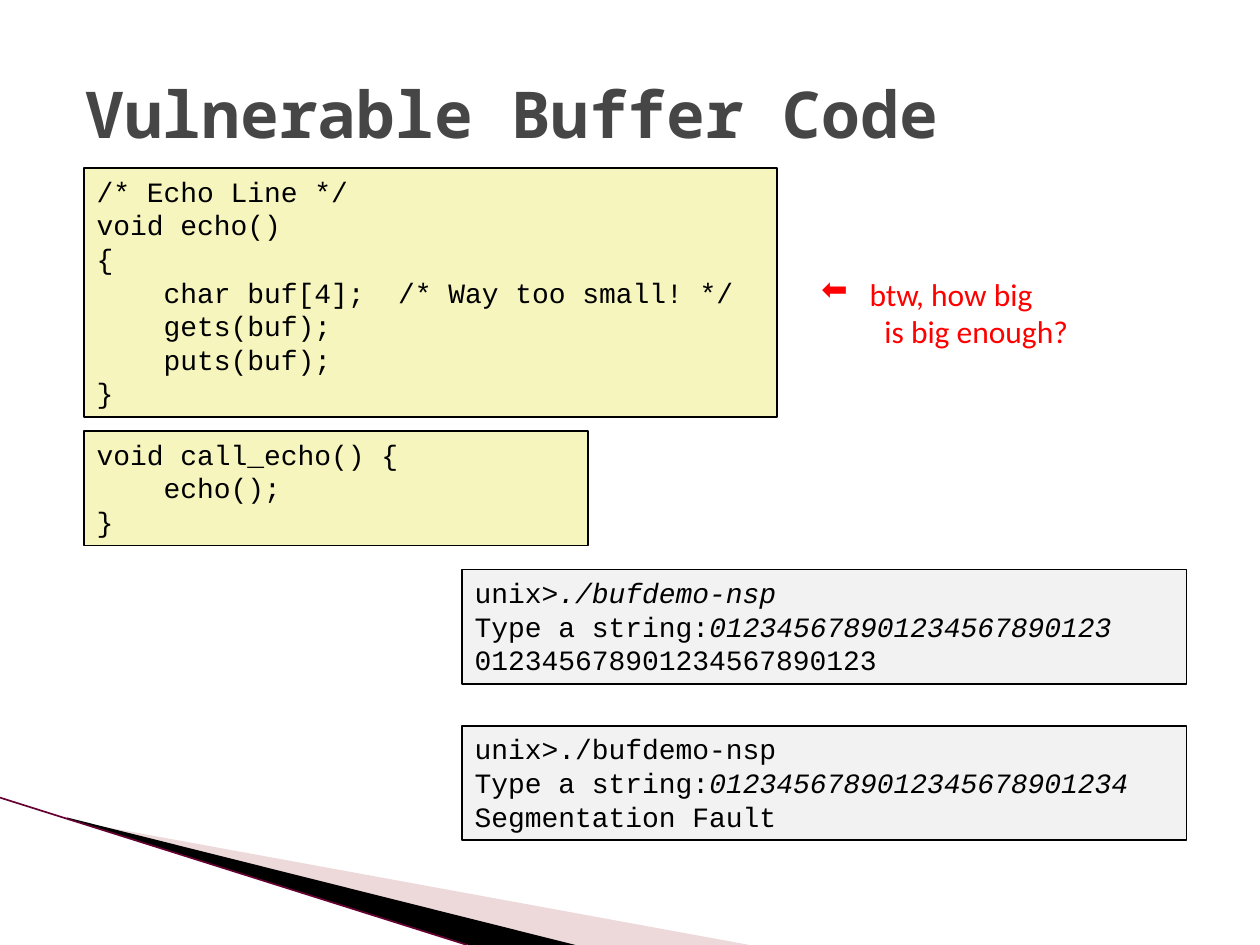
"""Build the slide on vulnerable buffer code."""
import pptx
import pptx.util
import pptx.dml.color
import pptx.enum.shapes
import pptx.enum.text
import pptx.oxml.ns
import lxml.etree

Cm, Pt = pptx.util.Cm, pptx.util.Pt
qn = pptx.oxml.ns.qn
ANCHOR = pptx.enum.text.MSO_ANCHOR

HUES = {"ink": "000000", "title": "464646", "code": "F6F5BD", "shell": "F2F2F2",
        "note": "FF0000", "pale": "D29EA4", "edge": "660033"}
FONTS = {
    "title": {"name": "Noto Sans Mono", "size": Pt(36.9), "bold": True},
    "code": {"name": "Courier New", "size": Pt(16)},
    "note": {"name": "Calibri", "size": Pt(18)},
}
WEDGES = [
    ("pale", 40, [(1.4, 16.54), (15.11, 19.05), (11.58, 19.05), (1.4, 16.51)]),
    ("ink", 100, [(1.35, 16.48), (11.6, 19.05), (9.45, 19.05), (1.37, 16.51)]),
]
EDGE = (0, 16.08, 9.42, 19.05)
TITLE = "Vulnerable Buffer Code"
NOTE = [("btw, how big", 0.97, -0.97), ("is big enough?", 1.27, 0)]
LEFT, RIGHT = 1.7, 9.32
LINE, PAD = 0.676, 0.28
BOXES = [
    ("code", LEFT, 3.39, 13.97, [
        ("/* Echo Line */",), ("void echo()",), ("{",),
        ("    char buf[4];  /* Way too small! */",),
        ("    gets(buf);",), ("    puts(buf);",), ("}",)]),
    ("code", LEFT, 8.69, 10.16, [
        ("void call_echo() {",), ("    echo();",), ("}",)]),
    ("shell", RIGHT, 11.48, 14.6, [
        ("unix>", "./bufdemo-nsp"),
        ("Type a string:", "012345678901234567890123"),
        ("012345678901234567890123",)]),
    ("shell", RIGHT, 14.63, 14.6, [
        ("unix>./bufdemo-nsp",),
        ("Type a string:", "0123456789012345678901234"),
        ("Segmentation Fault",)]),
]


def tint(hue):
    return pptx.dml.color.RGBColor.from_string(HUES[hue])


def paint(shape, hue):
    shape.shadow.inherit = False
    shape.fill.solid()
    shape.fill.fore_color.rgb = tint(hue)


def write(para, text, style, hue, **more):
    run = para.add_run()
    run.text = text
    run.font.color.rgb = tint(hue)
    for key, val in {**FONTS[style], **more}.items():
        setattr(run.font, key, val)


def lines(frame, rows):
    for num, row in enumerate(rows):
        yield (frame.add_paragraph() if num else frame.paragraphs[0]), row


def wedge(shapes, hue, alpha, dots):
    form = shapes.build_freeform(*(Cm(n) for n in dots[0]), scale=1.0)
    form.add_line_segments([(Cm(x), Cm(y)) for x, y in dots[1:]], close=True)
    shape = form.convert_to_shape()
    paint(shape, hue)
    shape.line.fill.background()
    if alpha < 100:
        clr = shape.fill._xPr.find(".//" + qn("a:srgbClr"))
        lxml.etree.SubElement(clr, qn("a:alpha"), val=str(alpha * 1000))


def edge(shapes):
    kind = pptx.enum.shapes.MSO_CONNECTOR.STRAIGHT
    line = shapes.add_connector(kind, *(Cm(n) for n in EDGE))
    line.line.color.rgb = tint("edge")
    line.line.width = Pt(0.95)
    lxml.etree.SubElement(line._element.spPr, qn("a:effectLst"))


def box(shapes, hue, left, top, width, rows):
    kind = pptx.enum.shapes.MSO_SHAPE.RECTANGLE
    tall = LINE * len(rows) + PAD
    shape = shapes.add_shape(kind, Cm(left), Cm(top), Cm(width), Cm(tall))
    paint(shape, hue)
    shape.line.color.rgb = tint("ink")
    shape.line.width = Pt(1)
    frame = shape.text_frame
    frame.vertical_anchor = ANCHOR.TOP
    for para, row in lines(frame, rows):
        para.alignment = pptx.enum.text.PP_ALIGN.LEFT
        for num, text in enumerate(row):
            write(para, text, "code", "ink", italic=num == 1)


def title(shapes):
    frame = shapes.add_textbox(Cm(1.47), Cm(1.47), Cm(17.8), Cm(1.6)).text_frame
    frame.word_wrap = True
    frame.vertical_anchor = ANCHOR.MIDDLE
    write(frame.paragraphs[0], TITLE, "title", "title")


def note(shapes):
    frame = shapes.add_textbox(Cm(16.31), Cm(5.41), Cm(8.15), Cm(2.31)).text_frame
    frame.word_wrap = True
    for para, (text, left, hang) in lines(frame, NOTE):
        write(para, text, "note", "note")
        props = para._p.get_or_add_pPr()
        props.set("marL", str(Cm(left)))
        props.set("indent", str(Cm(hang)))
        if hang:
            lxml.etree.SubElement(props, qn("a:buChar"), char="⬅")


def main():
    deck = pptx.Presentation()
    deck.slide_width, deck.slide_height = Cm(25.4), Cm(19.05)
    shapes = deck.slides.add_slide(deck.slide_layouts[6]).shapes
    for item in WEDGES:
        wedge(shapes, *item)
    edge(shapes)
    title(shapes)
    for item in BOXES:
        box(shapes, *item)
    note(shapes)
    deck.save("out.pptx")


if __name__ == "__main__":
    main()
